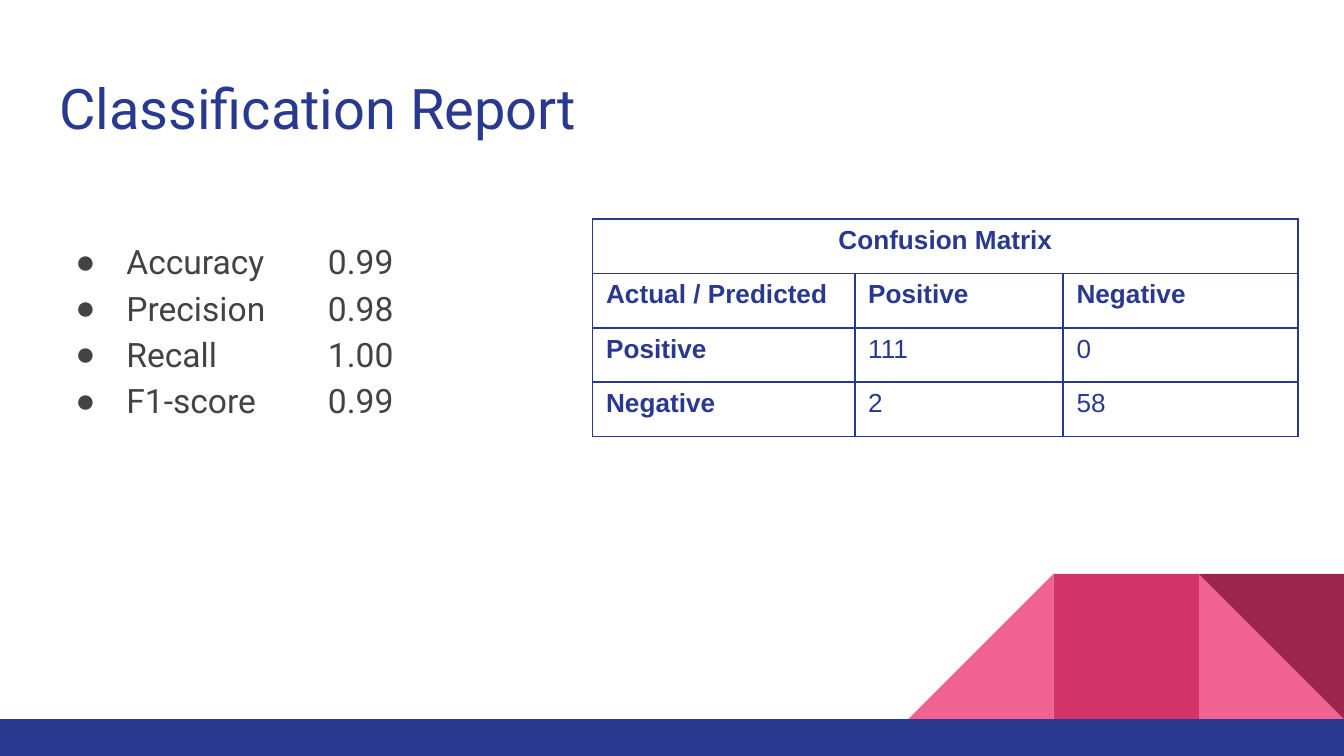
from dataclasses import dataclass

from lxml.etree import SubElement
from pptx import Presentation
from pptx.dml.color import RGBColor
from pptx.enum.shapes import MSO_SHAPE
from pptx.enum.text import MSO_ANCHOR, MSO_AUTO_SIZE, PP_ALIGN
from pptx.oxml.ns import qn
from pptx.util import Inches, Pt

NAVY, GREY = "2A3990", "434343"
PINK, ROSE, WINE = "F06292", "D23369", "9C254D"
PAGE_WIDTH = 10
PAGE_HEIGHT = PAGE_WIDTH * 9 / 16
BAND_TOP = 5.35
TILE = 1.08


@dataclass
class Block:
    left: float
    top: float
    width: float
    height: float
    color: str
    kind: MSO_SHAPE = MSO_SHAPE.RECTANGLE
    rotation: float = 0
    mirrored: bool = False


@dataclass
class Score:
    name: str
    value: str
    tabs: int = 1


def tile(column: int, color: str, **options) -> Block:
    """Square block above the band, counted leftwards from the page edge."""
    return Block(PAGE_WIDTH - column * TILE, BAND_TOP - TILE, TILE, TILE, color, **options)


TRIANGLE = MSO_SHAPE.RIGHT_TRIANGLE
BLOCKS = [
    tile(1, PINK, kind=TRIANGLE),
    tile(3, PINK, kind=TRIANGLE, mirrored=True),
    tile(2, ROSE),
    tile(1, WINE, kind=TRIANGLE, rotation=180),
    Block(0, BAND_TOP, PAGE_WIDTH, PAGE_HEIGHT - BAND_TOP, NAVY),
]

SCORES = [
    Score("Accuracy", "0.99"),
    Score("Precision", "0.98"),
    Score("Recall", "1.00", tabs=2),
    Score("F1-score", "0.99", tabs=2),
]

MATRIX = [
    ["Confusion Matrix", "", ""],
    ["Actual / Predicted", "Positive", "Negative"],
    ["Positive", "111", "0"],
    ["Negative", "2", "58"],
]
COLUMN_WIDTHS = [1.95, 1.55, 1.75]
MATRIX_HEIGHT = 1.62


def rgb(color: str) -> RGBColor:
    return RGBColor.from_string(color)


def format_runs(para, font: str, size: float, color: str, bold: bool = False) -> None:
    for span in para.runs:
        span.font.name = font
        span.font.size = Pt(size)
        span.font.bold = bold
        span.font.color.rgb = rgb(color)


def place(box, left: float, top: float, width: float, height: float) -> None:
    box.left, box.top = Inches(left), Inches(top)
    box.width, box.height = Inches(width), Inches(height)


def prepare_frame(frame, top_inset: float) -> None:
    frame.word_wrap = True
    frame.auto_size = MSO_AUTO_SIZE.NONE
    frame.vertical_anchor = MSO_ANCHOR.TOP
    frame.margin_left = frame.margin_right = frame.margin_bottom = Inches(0.1)
    frame.margin_top = Inches(top_inset)


def draw_block(page, block: Block) -> None:
    shape = page.shapes.add_shape(
        block.kind, Inches(block.left), Inches(block.top), Inches(block.width), Inches(block.height)
    )
    shape.shadow.inherit = False
    shape.fill.solid()
    shape.fill.fore_color.rgb = rgb(block.color)
    shape.line.fill.background()
    shape.rotation = block.rotation
    if block.mirrored:
        shape._element.spPr.find(qn("a:xfrm")).set("flipH", "1")


def add_bullet(para) -> None:
    properties = para._p.get_or_add_pPr()
    properties.set("marL", str(Inches(0.5)))
    properties.set("indent", str(Inches(-0.38)))
    bullet_color = SubElement(properties, qn("a:buClr"))
    SubElement(bullet_color, qn("a:srgbClr"), val=GREY)
    SubElement(properties, qn("a:buFont"), typeface="Arial")
    SubElement(properties, qn("a:buChar"), char="●")


def add_borders(cell) -> None:
    properties = cell._tc.get_or_add_tcPr()
    for side in ("lnL", "lnR", "lnT", "lnB"):
        line = SubElement(properties, qn(f"a:{side}"), w=str(Pt(1)))
        fill = SubElement(line, qn("a:solidFill"))
        SubElement(fill, qn("a:srgbClr"), val=NAVY)


def fill_title(page) -> None:
    title = page.shapes.title
    place(title, 0.34, 0.45, 9.32, 0.66)
    prepare_frame(title.text_frame, 0.1)
    title.text_frame.text = "Classification Report"
    para = title.text_frame.paragraphs[0]
    para.alignment = PP_ALIGN.LEFT
    format_runs(para, "Roboto", 30, NAVY)


def fill_scores(page) -> None:
    body = page.placeholders[1]
    place(body, 0.34, 1.35, 9.32, 3.65)
    prepare_frame(body.text_frame, 0.4)
    body.text_frame.text = "\n".join(
        score.name + "\t" * score.tabs + score.value for score in SCORES
    )
    for para in body.text_frame.paragraphs:
        para.line_spacing = 1.15
        para.space_before = Pt(0)
        add_bullet(para)
        format_runs(para, "Roboto", 18, GREY)


def draw_matrix(page) -> None:
    table = page.shapes.add_table(
        len(MATRIX), len(COLUMN_WIDTHS), Inches(4.41), Inches(1.63),
        Inches(sum(COLUMN_WIDTHS)), Inches(MATRIX_HEIGHT),
    ).table
    table.first_row = table.horz_banding = False
    for column, width in zip(table.columns, COLUMN_WIDTHS):
        column.width = Inches(width)
    for row_index, texts in enumerate(MATRIX):
        for column_index, text in enumerate(texts):
            cell = table.cell(row_index, column_index)
            add_borders(cell)
            cell.fill.background()
            cell.text_frame.text = text
            is_heading = row_index < 2 or column_index == 0
            format_runs(cell.text_frame.paragraphs[0], "Arial", 14, NAVY, is_heading)
    heading = table.cell(0, 0)
    heading.merge(table.cell(0, len(COLUMN_WIDTHS) - 1))
    heading.text_frame.paragraphs[0].alignment = PP_ALIGN.CENTER


def main() -> None:
    deck = Presentation()
    deck.slide_width, deck.slide_height = Inches(PAGE_WIDTH), Inches(PAGE_HEIGHT)
    page = deck.slides.add_slide(deck.slide_layouts[1])
    for block in BLOCKS:
        draw_block(page, block)
    fill_title(page)
    fill_scores(page)
    draw_matrix(page)
    deck.save("out.pptx")


if __name__ == "__main__":
    main()
